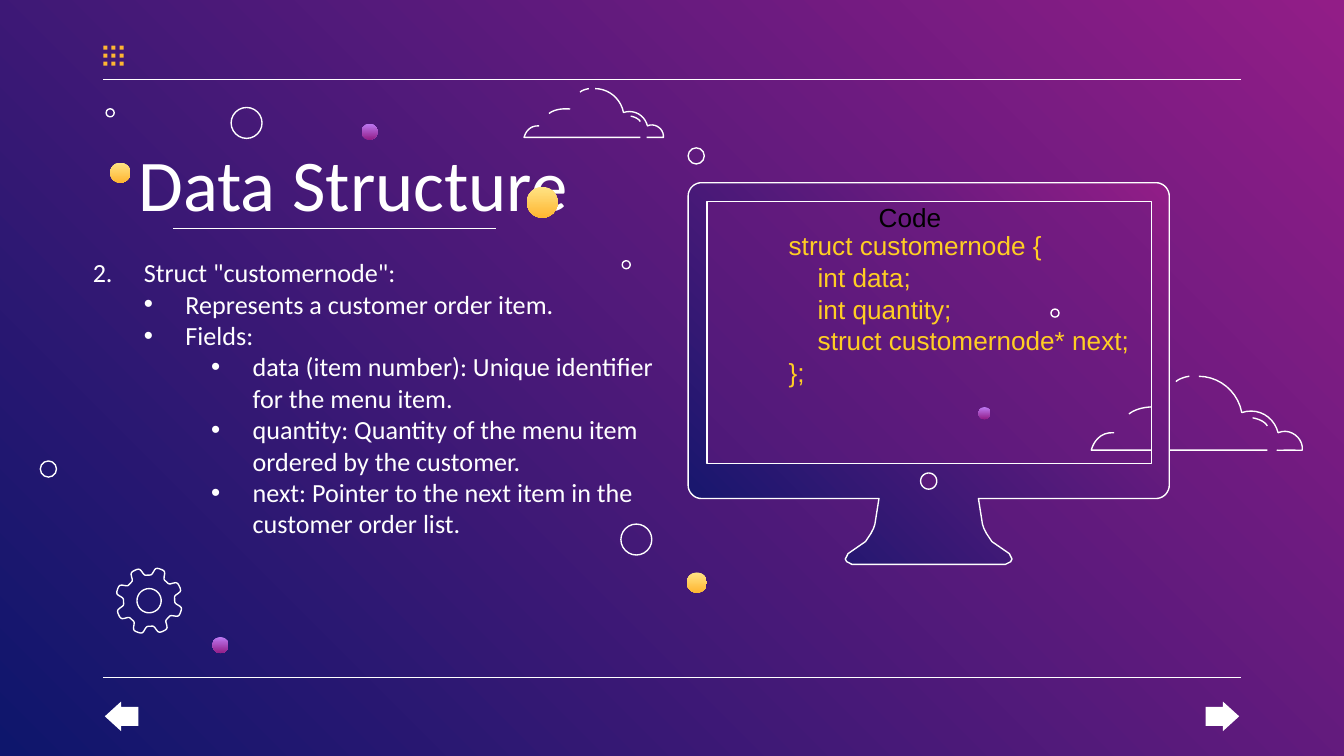
"""Build the Data Structure slide with its monitor illustration."""
import math
from dataclasses import dataclass
from typing import Optional, Union

import lxml.etree
import pptx
import pptx.dml.color
import pptx.dml.fill
import pptx.enum.shapes
import pptx.enum.text
import pptx.oxml.ns
import pptx.shapes.autoshape
import pptx.shapes.shapetree
import pptx.slide
import pptx.text.text
import pptx.util
from pptx.util import Inches

COLORS = {
    "white": "FFFFFF", "black": "000000", "code": "FFCE23", "amber": "FFB632",
    "cream": "FFE485", "lilac": "BE7AF3", "magenta": "921D87", "navy": "0E166C",
}
GOLD = ("cream", "amber")
PURPLE = ("lilac", "magenta")
NIGHT = ("magenta", "navy")
Point = tuple[float, float]
Shapes = Union[pptx.shapes.shapetree.SlideShapes, pptx.shapes.shapetree.GroupShapes]
PRESET = pptx.enum.shapes.MSO_SHAPE


@dataclass
class Circle:
    left: float
    top: float
    diameter: float
    gradient: Optional[tuple[str, str]] = None


@dataclass
class ListItem:
    text: str
    level: int
    margin: float
    indent: float


CIRCLES = [
    Circle(0.82, 1.21, 0.15, GOLD), Circle(1.72, 0.8, 0.23), Circle(2.69, 0.92, 0.12, PURPLE),
    Circle(0.79, 0.81, 0.06), Circle(4.62, 3.9, 0.23), Circle(0.3, 3.43, 0.12),
    Circle(3.92, 1.39, 0.23, GOLD), Circle(7.82, 2.3, 0.06), Circle(5.12, 1.1, 0.12),
    Circle(7.28, 3.03, 0.09, PURPLE), Circle(4.63, 1.94, 0.06), Circle(1.58, 4.74, 0.12, PURPLE),
    Circle(5.11, 4.26, 0.15, GOLD),
]
ITEMS = [
    ListItem('Struct "customernode":', 0, 0.5, -0.38),
    ListItem("Represents a customer order item.", 1, 0.81, -0.31),
    ListItem("Fields:", 1, 0.81, -0.31),
    ListItem("data (item number): Unique identifier for the menu item.", 2, 1.31, -0.31),
    ListItem("quantity: Quantity of the menu item ordered by the customer.", 2, 1.31, -0.31),
    ListItem("next: Pointer to the next item in the customer order list.", 2, 1.31, -0.31),
]
CODE = ["struct customernode {", "    int data;", "    int quantity;",
        "    struct customernode* next;", "};"]
CLOUD_CURVES = [
    [(0.8, 0), (0.95, 0), (1.09, 0.11), (1.12, 0.27), (1.24, 0.23), (1.36, 0.3), (1.39, 0.42),
     (1.48, 0.38), (1.58, 0.46), (1.57, 0.55), (1.51, 0.55), (1.44, 0.55), (1.38, 0.55)],
    [(0.73, 0), (0.73, 0), (0.66, 0.01), (0.63, 0.04)],
    [(1.31, 0.55), (0.87, 0.55), (0.44, 0.55), (0, 0.55), (0, 0.55), (0.03, 0.41), (0.17, 0.42)],
    [(1.2, 0.31), (1.2, 0.31), (1.28, 0.32), (1.31, 0.37)],
    [(0.52, 0.23), (0.52, 0.23), (0.37, 0.21), (0.28, 0.28)],
]


def rgb(name: str) -> pptx.dml.color.RGBColor:
    return pptx.dml.color.RGBColor.from_string(COLORS[name])


def paint_gradient(fill: pptx.dml.fill.FillFormat, names: tuple[str, str], angle: float) -> None:
    fill.gradient()
    fill.gradient_angle = angle
    for stop, name, position in zip(fill.gradient_stops, names, (0, 1)):
        stop.color.rgb = rgb(name)
        stop.position = position


def paint_outline(shape: pptx.shapes.autoshape.Shape) -> None:
    shape.shadow.inherit = False
    shape.fill.background()
    shape.line.color.rgb = rgb("white")
    shape.line.width = pptx.util.Pt(0.75)


def add_solid(shapes: Shapes, preset: PRESET, left: float, top: float, width: float,
              height: float, color: str) -> pptx.shapes.autoshape.Shape:
    shape = shapes.add_shape(preset, Inches(left), Inches(top), Inches(width), Inches(height))
    shape.shadow.inherit = False
    shape.fill.solid()
    shape.fill.fore_color.rgb = rgb(color)
    shape.line.fill.background()
    return shape


def add_circle(shapes: Shapes, circle: Circle) -> None:
    shape = add_solid(shapes, PRESET.OVAL, circle.left, circle.top,
                      circle.diameter, circle.diameter, "white")
    if circle.gradient:
        paint_gradient(shape.fill, circle.gradient, 270)
    else:
        paint_outline(shape)


def add_line(shapes: Shapes, left: float, right: float, y: float) -> None:
    line = shapes.add_connector(pptx.enum.shapes.MSO_CONNECTOR.STRAIGHT,
                                Inches(left), Inches(y), Inches(right), Inches(y))
    line.line.color.rgb = rgb("white")
    line.line.width = pptx.util.Pt(0.75)
    lxml.etree.SubElement(line._element.spPr, pptx.oxml.ns.qn("a:effectLst"))


def add_outline(shapes: Shapes, contours: list[list[Point]],
                close: bool = True) -> pptx.shapes.autoshape.Shape:
    scaled = [[(Inches(x), Inches(y)) for x, y in contour] for contour in contours]
    builder = shapes.build_freeform(*scaled[0][0])
    for index, contour in enumerate(scaled):
        if index:
            builder.move_to(*contour[0])
        builder.add_line_segments(contour[1:], close=close)
    shape = builder.convert_to_shape()
    paint_outline(shape)
    return shape


def sample_curve(controls: list[Point], steps: int = 10) -> list[Point]:
    points = [controls[0]]
    for start in range(0, len(controls) - 1, 3):
        for step in range(1, steps + 1):
            t = step / steps
            weights = ((1 - t) ** 3, 3 * t * (1 - t) ** 2, 3 * t * t * (1 - t), t ** 3)
            segment = controls[start:start + 4]
            points.append((sum(w * p[0] for w, p in zip(weights, segment)),
                           sum(w * p[1] for w, p in zip(weights, segment))))
    return points


def arc(x: float, y: float, radius: float, start: int, end: int) -> list[Point]:
    return [(x + radius * math.cos(math.radians(angle)), y + radius * math.sin(math.radians(angle)))
            for angle in range(start, end + 1, 10)]


def add_cloud(shapes: Shapes, left: float, top: float, scale: float) -> None:
    group = shapes.add_group_shape()
    for curve in CLOUD_CURVES:
        controls = [(left + x * scale, top + y * scale) for x, y in curve]
        add_outline(group.shapes, [sample_curve(controls)], close=False)


def add_monitor(shapes: Shapes) -> None:
    center = 6.91
    foot = [(0.37, 3.71), (0.4, 3.9), (0.41, 3.93), (0.43, 3.97), (0.47, 4.03), (0.6, 4.12),
            (0.61, 4.14), (0.62, 4.16), (0.61, 4.18), (0.59, 4.19), (0.57, 4.2)]
    half = arc(1.69, 1.46, 0.1, -90, 0) + arc(1.69, 3.61, 0.1, 0, 90) + foot
    frame = [(center + x, y) for x, y in half] + [(center - x, y) for x, y in reversed(half)]
    screen = [(8.57, 3.45), (5.26, 3.45), (5.26, 1.5), (8.57, 1.5)]
    monitor = add_outline(shapes, [frame, arc(center, 3.58, 0.06, 0, 350), screen])
    paint_gradient(monitor.fill, NIGHT, 225)


def add_gear(shapes: Shapes) -> None:
    rim = []
    for degree in range(0, 360, 2):
        angle = math.radians(degree)
        radius = 0.22 + 0.03 * math.tanh(2.5 * math.cos(8 * (angle - math.radians(20))))
        rim.append((1.11 + radius * math.cos(angle), 4.47 + radius * math.sin(angle)))
    add_outline(shapes, [rim, arc(1.11, 4.47, 0.09, 0, 350)])


def place(shape: pptx.shapes.autoshape.Shape, left: float, top: float, width: float,
          height: float, inset: float) -> pptx.text.text.TextFrame:
    shape.left, shape.top, shape.width, shape.height = map(Inches, (left, top, width, height))
    frame = shape.text_frame
    frame.word_wrap = True
    frame.auto_size = pptx.enum.text.MSO_AUTO_SIZE.NONE
    frame.vertical_anchor = pptx.enum.text.MSO_ANCHOR.TOP
    frame.margin_left = frame.margin_right = Inches(0.1)
    frame.margin_top = frame.margin_bottom = Inches(inset)
    return frame


def write(frame: pptx.text.text.TextFrame, lines: list[str], size: float, font: str,
          color: str, pitch: Optional[float] = None) -> None:
    for index, line in enumerate(lines):
        paragraph = frame.add_paragraph() if index else frame.paragraphs[0]
        paragraph.alignment = pptx.enum.text.PP_ALIGN.LEFT
        paragraph.space_before = pptx.util.Pt(0)
        if pitch:
            paragraph.line_spacing = pptx.util.Pt(pitch)
        run = paragraph.add_run()
        run.text = line
        run.font.size = pptx.util.Pt(size)
        run.font.name = font
        run.font.color.rgb = rgb(color)


def format_item(paragraph: pptx.text.text._Paragraph, item: ListItem) -> None:
    paragraph.level = item.level
    properties = paragraph._p.get_or_add_pPr()
    properties.set("marL", str(Inches(item.margin)))
    properties.set("indent", str(Inches(item.indent)))
    qn = pptx.oxml.ns.qn
    if item.level:
        lxml.etree.SubElement(properties, qn("a:buFont"), typeface="Arial")
        lxml.etree.SubElement(properties, qn("a:buChar"), char="•")
    else:
        lxml.etree.SubElement(properties, qn("a:buFont"), typeface="+mj-lt")
        lxml.etree.SubElement(properties, qn("a:buAutoNum"), type="arabicPeriod", startAt="2")


def add_texts(slide: pptx.slide.Slide) -> None:
    write(place(slide.shapes.title, 0.93, 0.92, 3.46, 1.29, 0.11),
          ["Data Structure"], 39, "Calibri", "white")
    body = place(slide.placeholders[1], 0.47, 1.81, 4.69, 3.99, 0.1)
    write(body, [item.text for item in ITEMS], 14, "Calibri", "white", 16.8)
    for paragraph, item in zip(body.paragraphs, ITEMS):
        format_item(paragraph, item)
    code_box = slide.shapes.add_textbox(0, 0, 0, 0)
    write(place(code_box, 5.77, 1.66, 3.2, 1.28, 0.05), CODE, 14, "Arial", "code", 16.9)
    label_box = slide.shapes.add_textbox(0, 0, 0, 0)
    write(place(label_box, 6.44, 1.45, 1.4, 0.34, 0.05), ["Code"], 14, "Arial", "black")


def main() -> None:
    presentation = pptx.Presentation()
    presentation.slide_width, presentation.slide_height = Inches(10), Inches(10 * 9 / 16)
    slide = presentation.slides.add_slide(presentation.slide_layouts[1])
    paint_gradient(slide.background.fill, NIGHT, 225)
    shapes = slide.shapes
    for left, right, y in [(0.77, 9.23, 0.59), (0.77, 9.23, 5.04), (1.29, 3.69, 1.7)]:
        add_line(shapes, left, right, y)
    add_cloud(shapes, 8.12, 2.8, 1)
    add_monitor(shapes)
    add_cloud(shapes, 3.9, 0.66, 0.66)
    add_gear(shapes)
    for circle in CIRCLES:
        add_circle(shapes, circle)
    for preset, left in [(PRESET.RIGHT_ARROW, 8.97), (PRESET.LEFT_ARROW, 0.78)]:
        arrow = add_solid(shapes, preset, left, 5.22, 0.25, 0.22, "white")
        arrow.adjustments[0], arrow.adjustments[1] = 0.64, 0.55
    dots = shapes.add_group_shape()
    for index in range(9):
        column, row = divmod(index, 3)
        add_solid(dots.shapes, PRESET.RECTANGLE, 0.77 + 0.06 * column, 0.34 + 0.06 * row,
                  0.03, 0.03, "amber")
    add_texts(slide)
    presentation.save("out.pptx")


if __name__ == "__main__":
    main()
